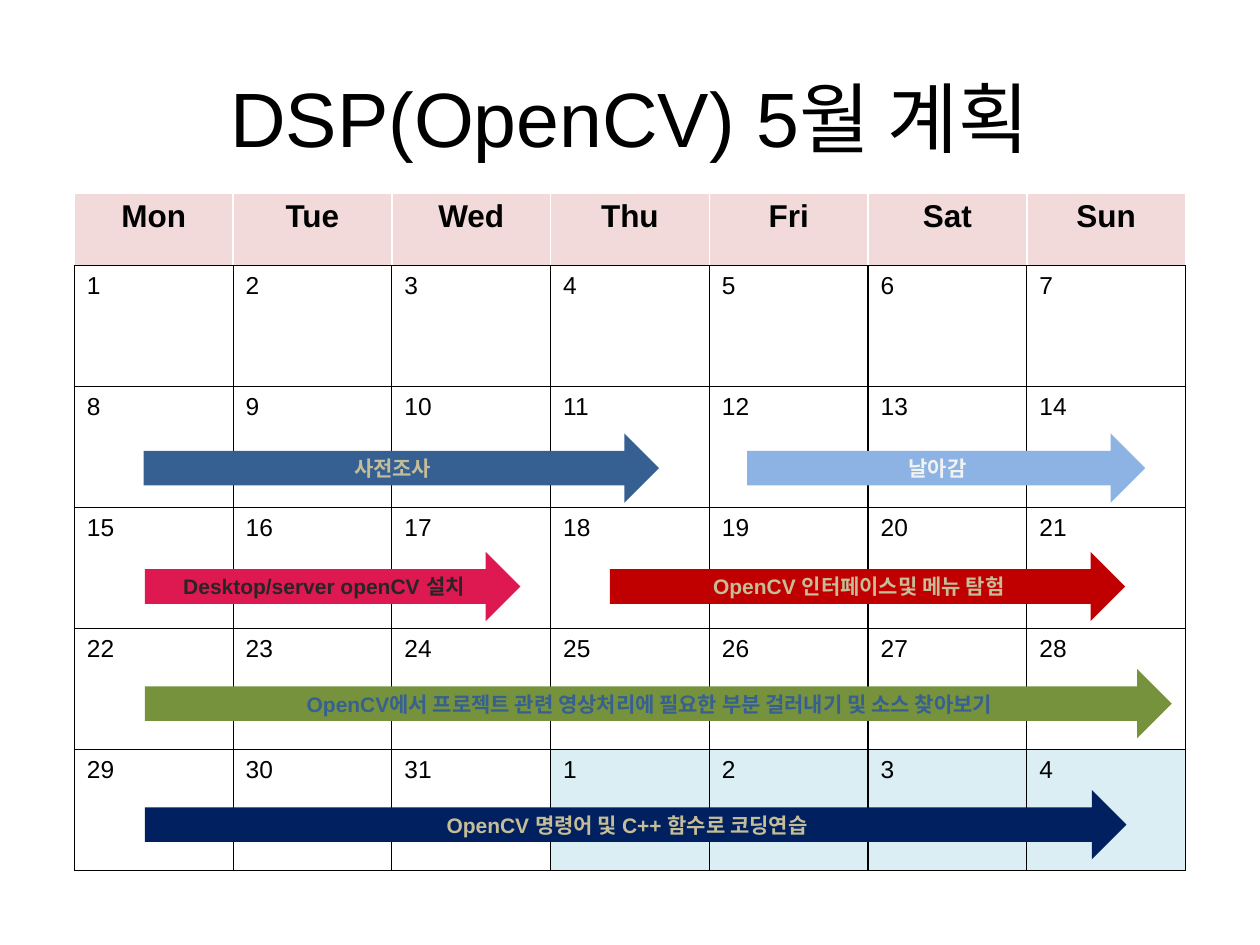
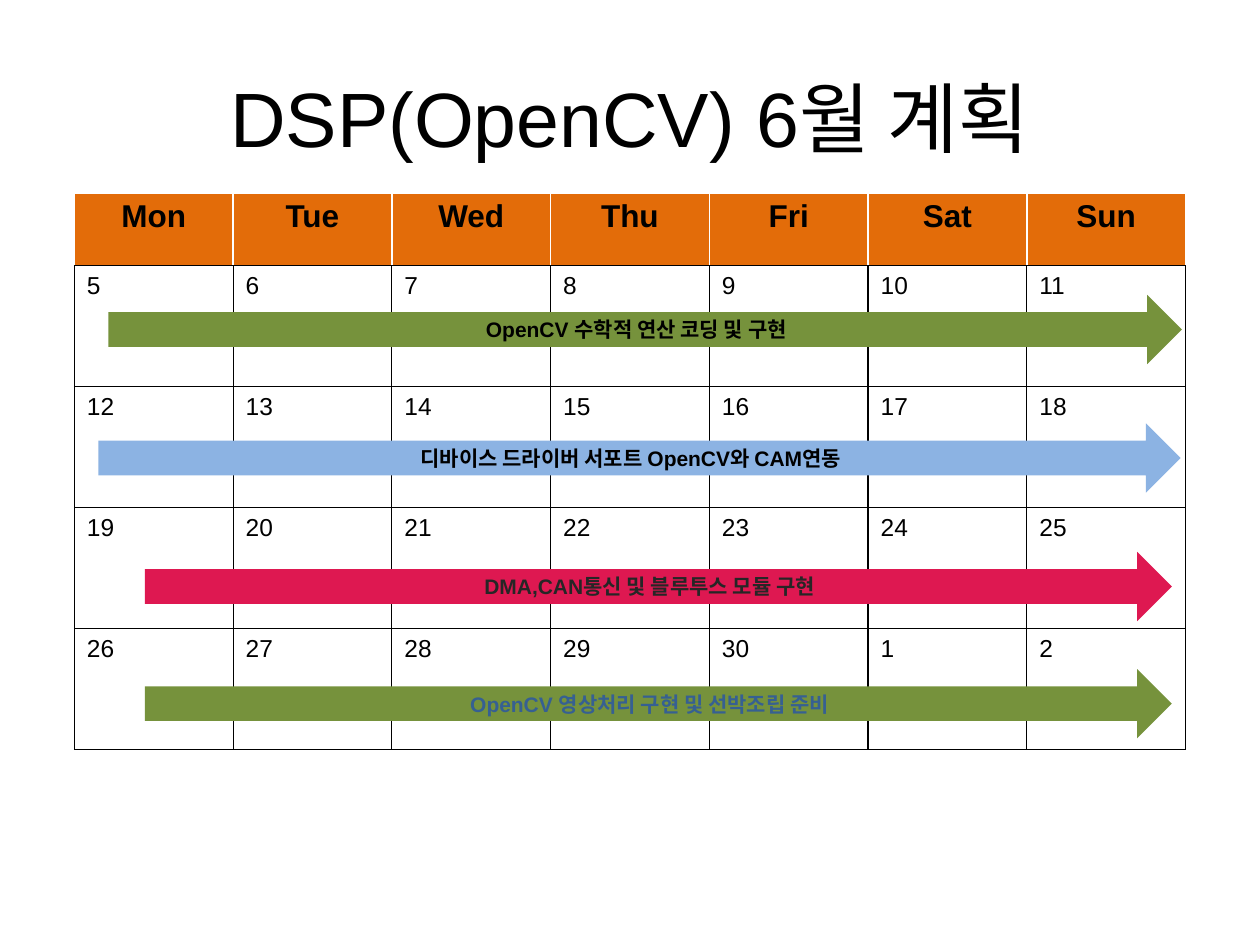
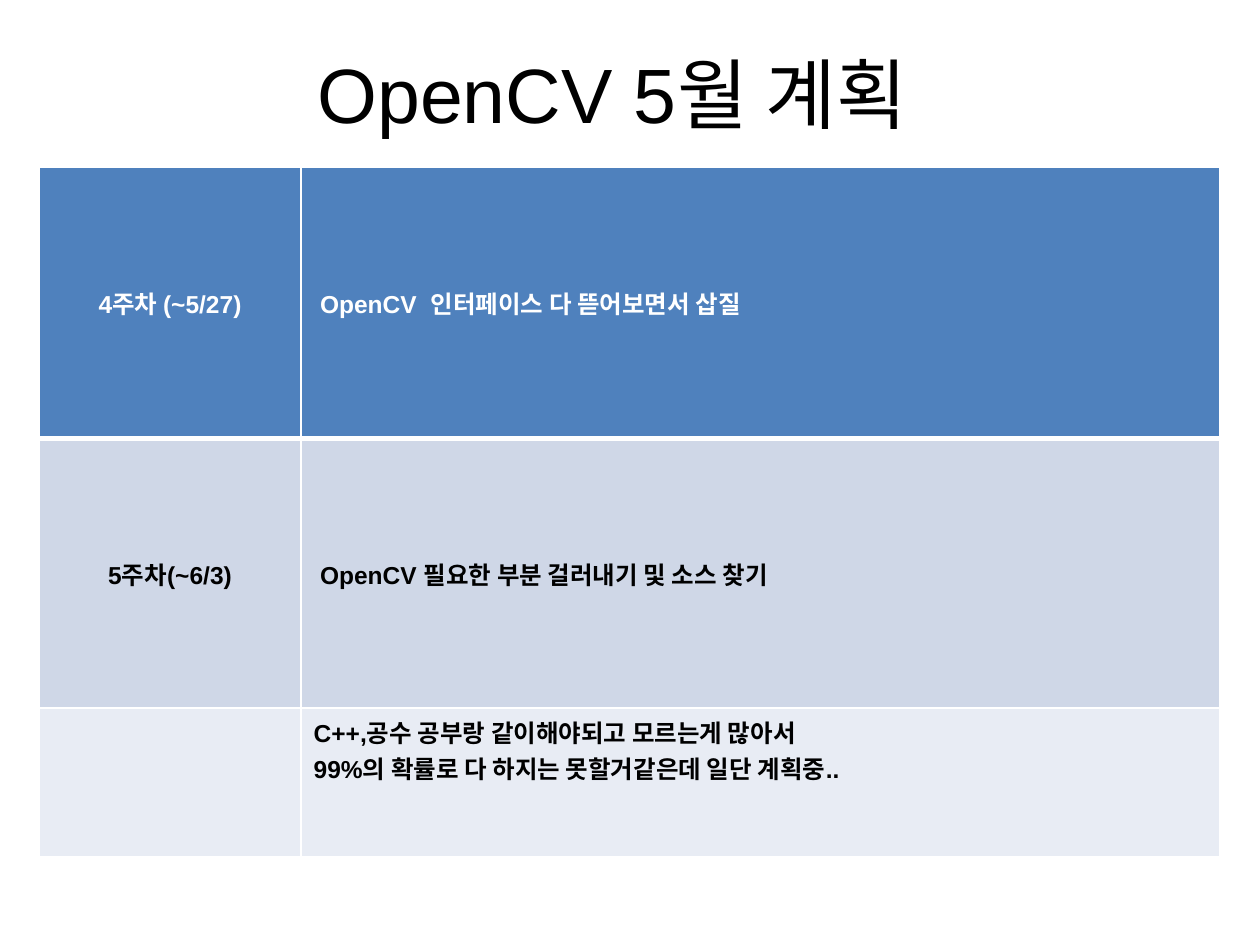
"""Build two monthly OpenCV calendars and a weekly plan."""
from lxml import etree
from pptx import Presentation
from pptx.dml.color import RGBColor
from pptx.enum.shapes import MSO_SHAPE
from pptx.enum.text import MSO_ANCHOR, PP_ALIGN
from pptx.oxml.ns import qn
from pptx.util import Inches, Pt

FONT = "Arial"
BLACK = RGBColor(0x00, 0x00, 0x00)
WHITE = RGBColor(0xFF, 0xFF, 0xFF)
CHARCOAL = RGBColor(0x26, 0x26, 0x26)
PALE_GRAY = RGBColor(0xF2, 0xF2, 0xF2)
TAN = RGBColor(0xC4, 0xBD, 0x97)
PINK = RGBColor(0xF2, 0xDA, 0xDA)
ORANGE = RGBColor(0xE3, 0x6C, 0x09)
PALE_AQUA = RGBColor(0xDA, 0xEE, 0xF3)
STEEL = RGBColor(0x36, 0x60, 0x92)
SKY = RGBColor(0x8C, 0xB3, 0xE3)
CRIMSON = RGBColor(0xDE, 0x18, 0x51)
RED = RGBColor(0xC0, 0x00, 0x00)
GREEN = RGBColor(0x76, 0x92, 0x3C)
NAVY = RGBColor(0x00, 0x20, 0x60)
BLUE = RGBColor(0x4F, 0x81, 0xBD)
BAND_DARK = RGBColor(0xCF, 0xD7, 0xE7)
BAND_LIGHT = RGBColor(0xE8, 0xEC, 0xF4)

WEEKDAYS = ["Mon", "Tue", "Wed", "Thu", "Fri", "Sat", "Sun"]
TITLE_LEFT, TITLE_TOP = 0.5, 0.3
TABLE_LEFT, TABLE_TOP = 0.59, 1.53
DAY_WIDTH, HEADER_HEIGHT, WEEK_HEIGHT = 1.26, 0.58, 0.96
ARROW_HEIGHT = 0.55


def write(tf, text, size, color, bold=False, align=PP_ALIGN.LEFT):
    tf.text = text
    for p in tf.paragraphs:
        p.alignment = align
        for r in p.runs:
            r.font.name = FONT
            r.font.size = Pt(size)
            r.font.bold = bold
            r.font.color.rgb = color


def style_cell(cell, fill, sides, bottom):
    cell.fill.solid()
    cell.fill.fore_color.rgb = fill
    tc_pr = cell._tc.get_or_add_tcPr()
    borders = [("a:lnL", sides), ("a:lnR", sides), ("a:lnT", sides), ("a:lnB", bottom)]
    for i, (tag, (color, width)) in enumerate(borders):
        ln = etree.Element(qn(tag), w=str(Pt(width)))
        solid = etree.SubElement(ln, qn("a:solidFill"))
        etree.SubElement(solid, qn("a:srgbClr"), val=str(color))
        tc_pr.insert(i, ln)


WHITE_LINE, BLACK_LINE, THICK_WHITE_LINE = (WHITE, 1), (BLACK, 0.75), (WHITE, 3)

calendars = [
    ("DSP(OpenCV) 5월 계획", PINK, 1, 31, 5, PALE_AQUA, [
        (1.14, 3.44, 4.09, STEEL, TAN, "사전조사"),
        (5.93, 3.44, 3.16, SKY, PALE_GRAY, "날아감"),
        (1.15, 4.38, 2.98, CRIMSON, CHARCOAL, "Desktop/server openCV 설치"),
        (4.84, 4.38, 4.09, RED, TAN, "OpenCV 인터페이스및 메뉴 탐험"),
        (1.15, 5.31, 8.15, GREEN, STEEL,
         "OpenCV에서 프로젝트 관련 영상처리에 필요한 부분 걸러내기 및 소스 찾아보기"),
        (1.15, 6.27, 7.79, NAVY, TAN, "OpenCV 명령어 및 C++ 함수로 코딩연습"),
    ]),
    ("DSP(OpenCV) 6월 계획", ORANGE, 5, 30, 4, WHITE, [
        (0.86, 2.34, 8.52, GREEN, BLACK, "OpenCV 수학적 연산 코딩 및 구현"),
        (0.78, 3.36, 8.59, SKY, BLACK, "디바이스 드라이버 서포트 OpenCV와 CAM연동"),
        (1.15, 4.38, 8.15, CRIMSON, CHARCOAL, "DMA,CAN통신 및 블루투스 모듈 구현"),
        (1.15, 5.31, 8.15, GREEN, STEEL, "OpenCV 영상처리 구현 및 선박조립 준비"),
    ]),
]

prs = Presentation()
prs.slide_width, prs.slide_height = Inches(10), Inches(7.5)
title_only = prs.slide_layouts[5]

slides = []
for title, width, height in [
    (calendars[0][0], 9, 1.25),
    (calendars[1][0], 9, 1.25),
    ("OpenCV 5월 계획", 8.72, 0.87),
]:
    s = prs.slides.add_slide(title_only)
    sp = s.shapes.title
    sp.left, sp.top = Inches(TITLE_LEFT), Inches(TITLE_TOP)
    sp.width, sp.height = Inches(width), Inches(height)
    sp.text_frame.vertical_anchor = MSO_ANCHOR.MIDDLE
    write(sp.text_frame, title, 44, BLACK, align=PP_ALIGN.CENTER)
    slides.append(s)

for s, (title, header_fill, first, last, weeks, next_fill, arrows) in zip(slides, calendars):
    table = s.shapes.add_table(
        weeks + 1, 7, Inches(TABLE_LEFT), Inches(TABLE_TOP),
        Inches(7 * DAY_WIDTH), Inches(HEADER_HEIGHT + weeks * WEEK_HEIGHT)).table
    for row in table.rows:
        row.height = Inches(WEEK_HEIGHT)
    table.rows[0].height = Inches(HEADER_HEIGHT)

    for col, weekday in enumerate(WEEKDAYS):
        table.columns[col].width = Inches(DAY_WIDTH)
        cell = table.cell(0, col)
        style_cell(cell, header_fill, WHITE_LINE, BLACK_LINE)
        write(cell.text_frame, weekday, 18, BLACK, True, PP_ALIGN.CENTER)
        for week in range(weeks):
            day = first + 7 * week + col
            cell = table.cell(week + 1, col)
            style_cell(cell, WHITE if day <= last else next_fill, BLACK_LINE, BLACK_LINE)
            write(cell.text_frame, str(day if day <= last else day - last), 14, BLACK)

    for left, top, width, fill, color, text in arrows:
        sp = s.shapes.add_shape(MSO_SHAPE.RIGHT_ARROW, Inches(left), Inches(top),
                                Inches(width), Inches(ARROW_HEIGHT))
        sp.shadow.inherit = False
        sp.fill.solid()
        sp.fill.fore_color.rgb = fill
        sp.line.fill.background()
        sp.text_frame.vertical_anchor = MSO_ANCHOR.MIDDLE
        write(sp.text_frame, text, 12, color, True, PP_ALIGN.CENTER)

plan = [
    (2.15, BLUE, WHITE, THICK_WHITE_LINE, MSO_ANCHOR.MIDDLE, 0.15,
     "4주차 (~5/27)", "OpenCV  인터페이스 다 뜯어보면서 삽질"),
    (2.14, BAND_DARK, BLACK, WHITE_LINE, MSO_ANCHOR.MIDDLE, 0.15,
     "5주차(~6/3)", "OpenCV 필요한 부분 걸러내기 및 소스 찾기"),
    (1.18, BAND_LIGHT, BLACK, WHITE_LINE, MSO_ANCHOR.TOP, 0.1,
     "", "C++,공수 공부랑 같이해야되고 모르는게 많아서\n"
         "99%의 확률로 다 하지는 못할거같은데 일단 계획중.."),
]
table = slides[2].shapes.add_table(
    len(plan), 2, Inches(0.31), Inches(1.33), Inches(9.37), Inches(5.47)).table
table.columns[0].width, table.columns[1].width = Inches(2.08), Inches(7.29)
for row, (height, fill, color, bottom, anchor, indent, week, task) in enumerate(plan):
    table.rows[row].height = Inches(height)
    for col, (text, align) in enumerate([(week, PP_ALIGN.CENTER), (task, PP_ALIGN.LEFT)]):
        cell = table.cell(row, col)
        style_cell(cell, fill, WHITE_LINE, bottom)
        cell.vertical_anchor = anchor
        write(cell.text_frame, text, 14, color, True, align)
    cell.margin_left = Inches(indent)
    if row:
        for cell in table.rows[row].cells:
            top = cell._tc.tcPr.find(qn("a:lnT"))
            top.set("w", str(Pt(plan[row - 1][3][1])))

prs.save("out.pptx")
